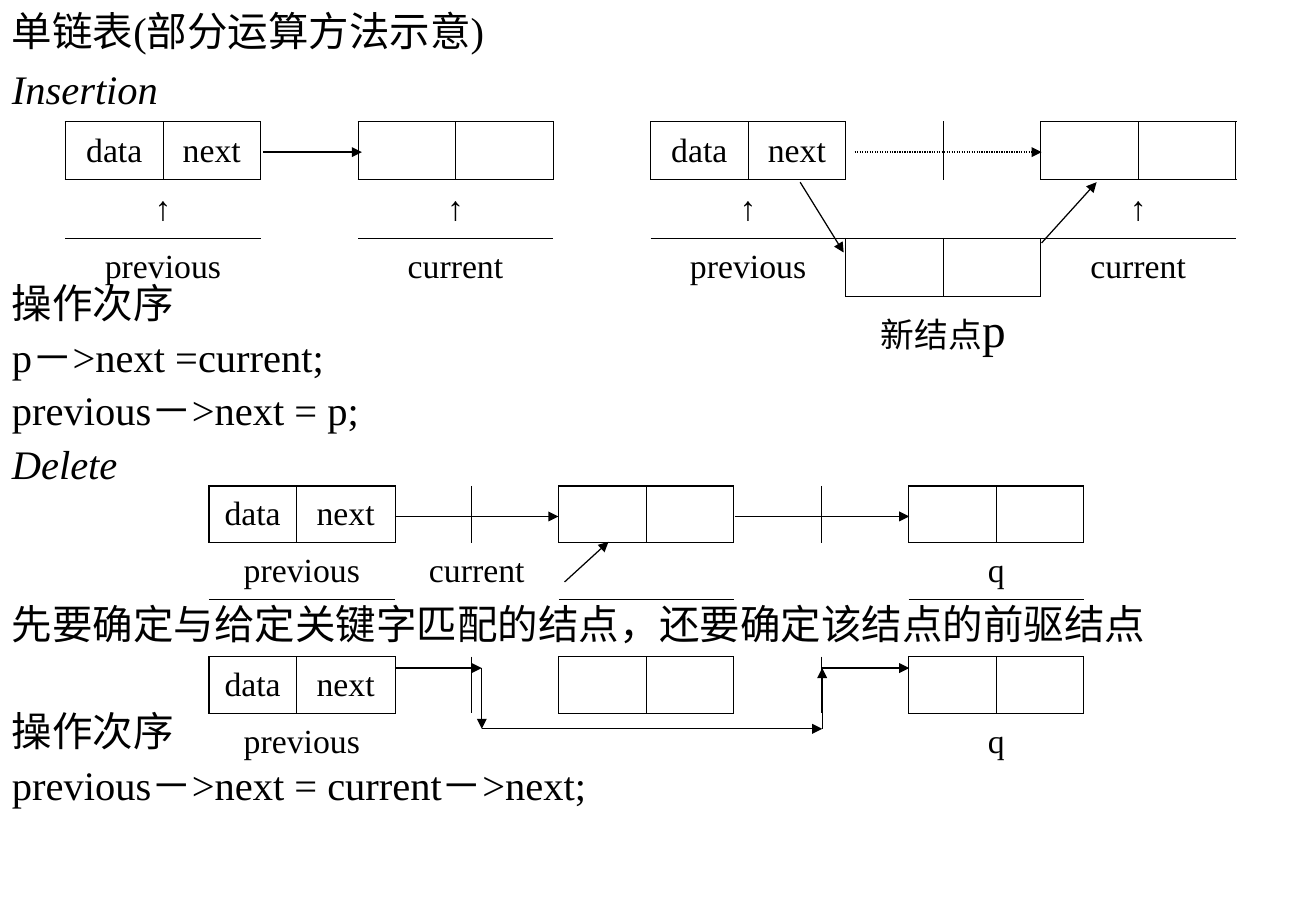
"""Build a slide on insertion and deletion in a singly linked list."""
from lxml import etree
from pptx import Presentation
from pptx import util as u
from pptx.dml.color import RGBColor
from pptx.enum import dml, shapes, text
from pptx.oxml import ns

BLACK = RGBColor(0x00, 0x00, 0x00)
FONT = "Times New Roman"
PLAIN = "{2D5ABB26-0587-4C30-8999-92F81FD0307C}"
SIDES = {"L": (0, -1, "R"), "R": (0, 1, "L"), "T": (-1, 0, "B"), "B": (1, 0, "T")}


def put(para, words, size=24, italic=False):
    """Add a run of text to a paragraph."""
    run = para.add_run()
    run.text = words
    font = run.font
    font.name, font.size, font.italic = FONT, u.Pt(size), italic
    font.color.rgb = BLACK


class Board:
    """Hold the slide and draw its elements in one style."""

    def __init__(self, slide):
        """Keep the slide."""
        self.items = slide.shapes

    def note(self, top, lines, wide=26.8, tall=1.27, space=0.9, anchor="TOP"):
        """Place lines of text, each a pair of words and italic flag."""
        box = self.items.add_textbox(u.Cm(0), u.Cm(top), u.Cm(wide), u.Cm(tall))
        frame = box.text_frame
        frame.word_wrap = True
        frame.vertical_anchor = text.MSO_ANCHOR[anchor]
        for i, (words, italic) in enumerate(lines):
            para = frame.add_paragraph() if i else frame.paragraphs[0]
            para.line_spacing = space
            para.space_before = u.Pt(6 if i else 0)
            put(para, words, italic=italic)

    def arrow(self, start, end, dash=None):
        """Draw a line with an arrowhead at its end."""
        ends = [u.Cm(n) for n in (*start, *end)]
        line = self.items.add_connector(shapes.MSO_CONNECTOR.STRAIGHT, *ends)
        line.line.color.rgb = BLACK
        line.line.width = u.Pt(0.75)
        if dash:
            line.line.dash_style = dash
        etree.SubElement(line.line._get_or_add_ln(), ns.qn("a:tailEnd"), type="triangle")
        etree.SubElement(line._element.spPr, ns.qn("a:effectLst"))

    def grid(self, left, top, cols, rows, nodes, labels, thick, gaps):
        """Draw a table of list nodes with labels under them."""
        size = len(rows), len(cols)
        table = self.items.add_table(
            *size, u.Cm(left), u.Cm(top), u.Cm(sum(cols)), u.Cm(sum(rows))).table
        props = table._tbl.tblPr
        props.find(ns.qn("a:tableStyleId")).text = PLAIN
        table.first_row = table.horz_banding = False
        for col, wide in zip(table.columns, cols):
            col.width = u.Cm(wide)
        for row, tall in zip(table.rows, rows):
            row.height = u.Cm(tall)
        for row, col, span in gaps:
            table.cell(row, col).merge(table.cell(row, col + span - 1))
        for row, col, words in labels:
            table.cell(row, col).merge(table.cell(row, col + 1))
            self.label(table.cell(row, col), words)
        edges = {}
        for row, col, named, sides in nodes:
            for i, words in enumerate(("data", "next")):
                if named:
                    self.label(table.cell(row, col + i), words)
                for side in sides:
                    down, over, back = SIDES[side]
                    near = row + down, col + i + over
                    inside = 0 <= near[0] < size[0] and 0 <= near[1] < size[1]
                    width = 0.45 if inside or side not in thick else 1.08
                    edges[row, col + i, side] = width
                    if inside:
                        edges[*near, back] = width
        for row in range(size[0]):
            for col in range(size[1]):
                cell = table.cell(row, col)
                for side in SIDES:
                    if (row, col, side) in edges:
                        self.edge(cell, side, edges[row, col, side])
                cell.fill.background()

    def label(self, cell, words):
        """Write centred text in a table cell, as pairs of words and size."""
        pairs = [(words, 20)] if isinstance(words, str) else words
        cell.vertical_anchor = text.MSO_ANCHOR.MIDDLE
        para = cell.text_frame.paragraphs[0]
        para.alignment = text.PP_ALIGN.CENTER
        for part, size in pairs:
            put(para, part, size=size)

    def edge(self, cell, side, width):
        """Draw one border of a table cell."""
        props = cell._tc.get_or_add_tcPr()
        line = etree.SubElement(props, ns.qn("a:ln" + side), w=str(u.Pt(width)))
        fill = etree.SubElement(line, ns.qn("a:solidFill"))
        etree.SubElement(fill, ns.qn("a:srgbClr"), val=str(BLACK))


def main():
    """Build and save the slide."""
    deck = Presentation()
    deck.slide_width, deck.slide_height = u.Cm(27.53), u.Cm(19.05)
    board = Board(deck.slides.add_slide(deck.slide_layouts[6]))

    board.note(0, [("单链表(部分运算方法示意)", False)], wide=23.4, space=1, anchor="MIDDLE")
    blocks = {
        0: [("Insertion", True)],
        4: [("操作次序", False), ("p－>next =current;", False),
            ("previous－>next = p;", False), ("Delete", True)],
        10: [("先要确定与给定关键字匹配的结点，还要确定该结点的前驱结点", False)],
        12: [("操作次序", False), ("previous－>next = current－>next;", False)],
    }
    for step, lines in blocks.items():
        board.note(1.32 + 1.12 * step, lines, tall=1.12 * len(lines))

    names = {0: "previous", 3: "current", 6: "previous", 10: "current"}
    labels = [(row, col, words) for col, name in names.items()
              for row, words in ((1, "↑"), (2, name))]
    labels.append((3, 8, [("新结点", 20), ("p", 28)]))
    nodes = [(0, col, name == "previous", "LRTB") for col, name in names.items()]
    nodes.append((2, 8, False, "LRTB"))
    board.grid(1.37, 2.54, [2.04] * 12, [1.22] * 3 + [1.45], nodes, labels,
               thick="LR", gaps=[(1, 8, 2)])
    board.arrow((5.51, 3.18), (7.57, 3.18))
    board.arrow((17.88, 3.18), (21.79, 3.18), dash=dml.MSO_LINE.ROUND_DOT)
    board.arrow((16.74, 3.81), (17.65, 5.28))
    board.arrow((21.79, 5.08), (22.94, 3.81))

    nodes = [(row, col, col == 0, "LRT" if (row, col) == (3, 4) else "LRTB")
             for row in (0, 3) for col in (0, 4, 8)]
    labels = [(row, col, name) for row in (1, 4)
              for col, name in ((0, "previous"), (8, "q"))]
    labels.append((1, 2, "current"))
    board.grid(4.37, 10.16, [1.83, 2.06, 1.6] + [1.83] * 7, [1.19] * 5, nodes, labels,
               thick="LRT", gaps=[(1, 4, 2), (2, 2, 2), (4, 2, 6)])
    board.arrow((8.26, 10.8), (11.68, 10.8))
    board.arrow((15.37, 10.8), (19.02, 10.8))
    detour = [(8.26, 13.97), (10.08, 13.97), (10.08, 15.24),
              (17.2, 15.24), (17.2, 13.97), (19.02, 13.97)]
    for start, end in zip(detour, detour[1:]):
        board.arrow(start, end)
    board.arrow((11.81, 12.17), (12.73, 11.33))

    deck.save("out.pptx")


if __name__ == "__main__":
    main()
